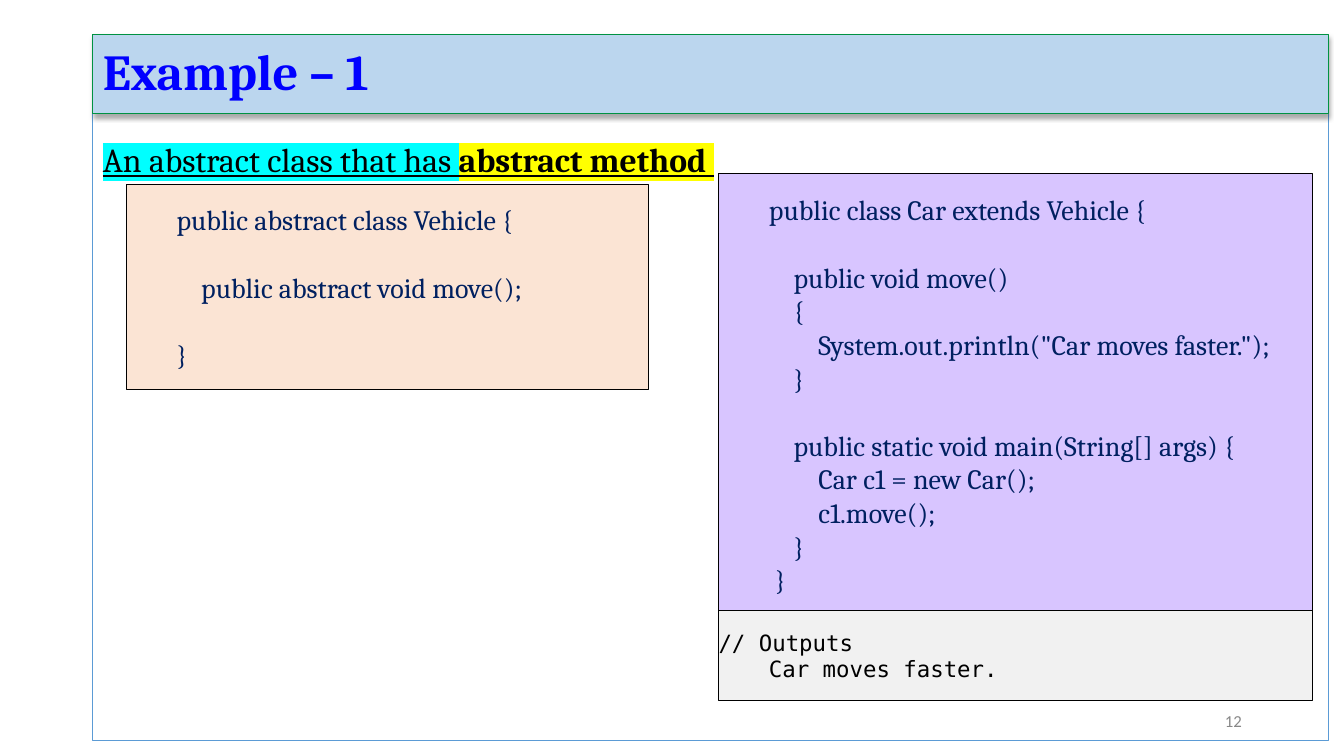
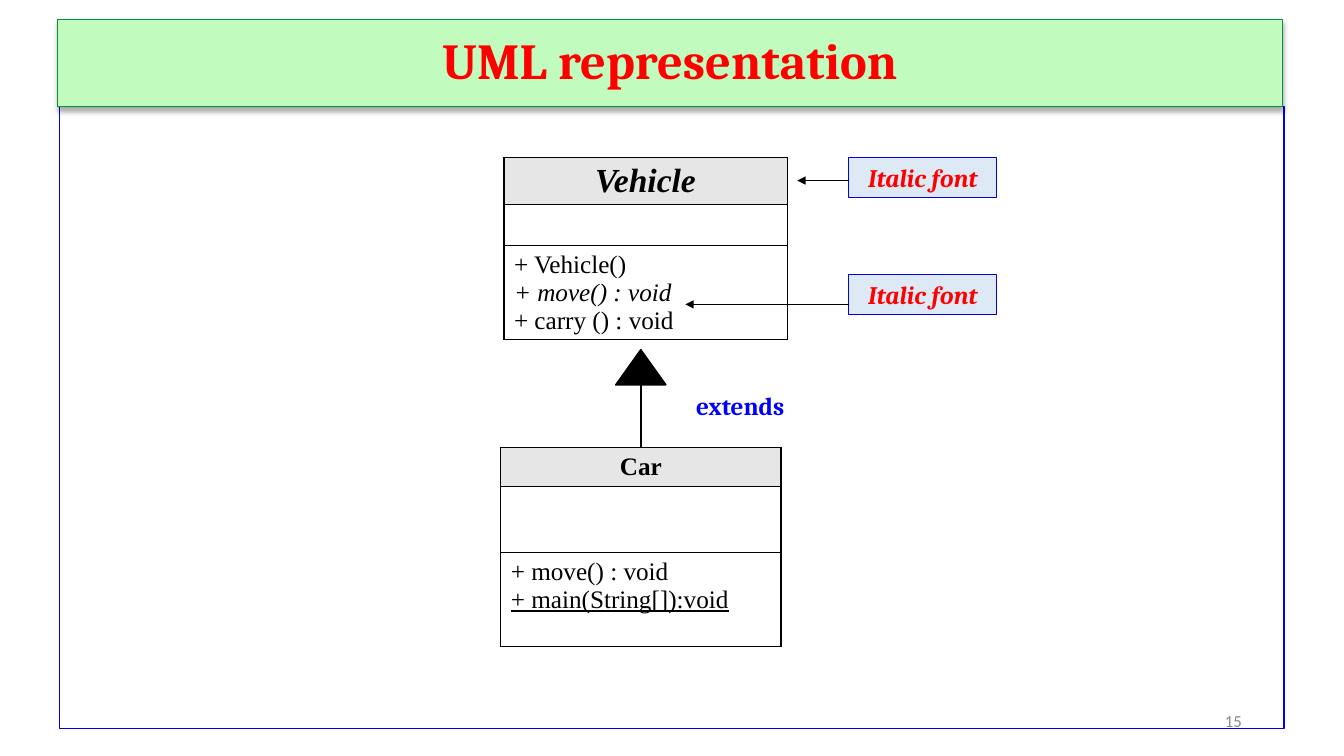
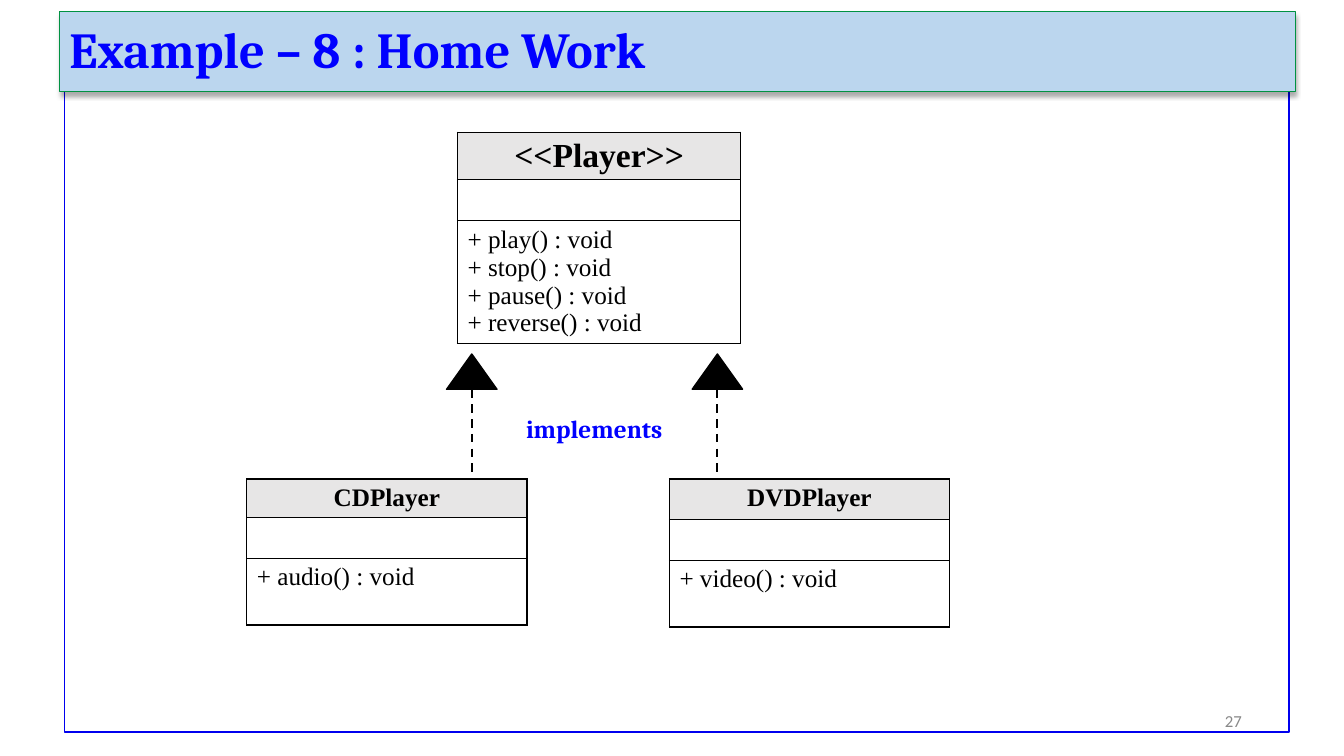
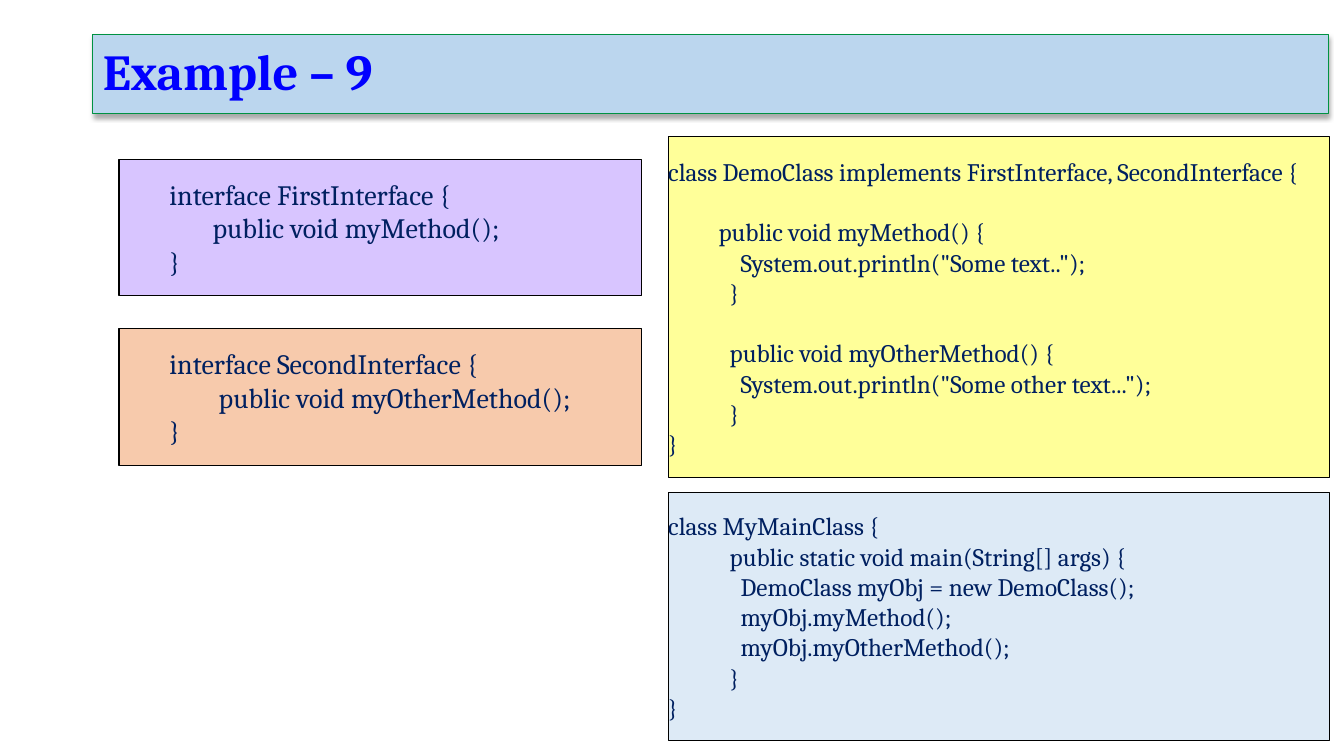
"""Build four slides on abstract classes and interfaces: Java code and UML diagrams."""
from dataclasses import dataclass

from lxml import etree
from pptx import Presentation
from pptx.dml.color import RGBColor
from pptx.enum.dml import MSO_LINE
from pptx.enum.shapes import MSO_CONNECTOR, MSO_SHAPE
from pptx.enum.text import MSO_ANCHOR, MSO_AUTO_SIZE, PP_ALIGN
from pptx.oxml.ns import qn
from pptx.util import Cm, Pt

LEFT, CENTER, RIGHT = PP_ALIGN.LEFT, PP_ALIGN.CENTER, PP_ALIGN.RIGHT
TOP, MIDDLE = MSO_ANCHOR.TOP, MSO_ANCHOR.MIDDLE
RECTANGLE, TRIANGLE = MSO_SHAPE.RECTANGLE, MSO_SHAPE.ISOSCELES_TRIANGLE
STRAIGHT, DASH = MSO_CONNECTOR.STRAIGHT, MSO_LINE.DASH
NO_AUTOFIT = MSO_AUTO_SIZE.NONE


@dataclass(frozen=True)
class Theme:
    """Colours, fonts and type sizes of the deck."""
    black: str = "000000"
    white: str = "FFFFFF"
    blue: str = "0000FF"
    red: str = "FF0000"
    navy: str = "002060"
    grey: str = "888888"
    frame: str = "0000EE"
    body_line: str = "5B9BD5"
    title_line: str = "009242"
    title_blue: str = "BBD6EE"
    title_green: str = "C1FBBD"
    purple: str = "D8C5FF"
    peach: str = "FBE4D4"
    orange: str = "F7CAAC"
    yellow: str = "FFFF99"
    pale_blue: str = "DDEAF6"
    output: str = "F1F1F1"
    header: str = "E7E6E6"
    mark_cyan: str = "00FFFF"
    mark_yellow: str = "FFFF00"
    serif: str = "Cambria"
    sans: str = "Calibri"
    mono: str = "DejaVu Sans Mono"
    uml: str = "Times New Roman"
    title_size: int = 36
    heading_size: int = 24
    code_size: int = 20
    small_size: int = 18
    output_size: int = 16
    number_size: int = 12


T = Theme()
CODE = {"name": T.serif, "size": T.code_size, "color": T.navy}
SMALL_CODE = CODE | {"size": T.small_size}
OUTPUT = {"name": T.mono, "size": T.output_size, "color": T.black}
UML = {"name": T.uml, "size": T.small_size, "color": T.black}
LABEL = {"name": T.serif, "size": T.small_size, "bold": True}
ITALIC, UNDERLINE, PLAIN = {"italic": True}, {"underline": True}, {}
TITLE_BAND = (2.34, 0.86, 31.14, 2.01)
NUMBER_BOX = (23.93, 17.65, 7.62, 1.02)
LABEL_SIZE = (3.73, 1.02)
TRIANGLE_SIZE = (1.27, 0.89)
PARENT_WIDTH, CHILD_WIDTH = 7.14, 7.06
CODE_INSET, CODE_INDENT, LINE_PITCH = 0.43, 1.27, 1.2

VEHICLE_CODE = """\
\tpublic abstract class Vehicle {

\t    public abstract void move();

\t}"""
CAR_CODE = """\
\tpublic class Car extends Vehicle {

\t    public void move()
\t    {
\t        System.out.println("Car moves faster.");
\t    }

\t    public static void main(String[] args) {
\t        Car c1 = new Car();
\t        c1.move();
\t    }
\t }"""
CAR_OUTPUT = """\
// Outputs
\tCar moves faster."""
FIRST_CODE = """\
\tinterface FirstInterface {
\t       public void myMethod();
\t}"""
SECOND_CODE = """\
\tinterface SecondInterface {
\t        public void myOtherMethod();
\t}"""
DEMO_CODE = """\
class DemoClass implements FirstInterface, SecondInterface {

\tpublic void myMethod() {
\t    System.out.println("Some text..");
\t  }

\t  public void myOtherMethod() {
\t    System.out.println("Some other text...");
\t  }
}"""
MAIN_CODE = """\
class MyMainClass {
\t  public static void main(String[] args) {
\t    DemoClass myObj = new DemoClass();
\t    myObj.myMethod();
\t    myObj.myOtherMethod();
\t  }
}"""

SLIDES = [
    {"title": "Example – 1", "number": "12",
     "body": {"box": (2.34, 2.87, 31.14, 15.8),
              "runs": [("An abstract class that has ", {"highlight": T.mark_cyan}),
                       ("abstract method ", {"highlight": T.mark_yellow, "bold": True})]},
     "code": [((18.11, 4.37, 14.96, 11.15), T.purple, CODE, CAR_CODE),
              ((18.11, 15.39, 14.96, 2.26), T.output, OUTPUT, CAR_OUTPUT),
              ((3.18, 4.65, 13.16, 5.16), T.peach, CODE, VEHICLE_CODE)]},
    {"title": "UML representation", "number": "15", "band": (1.45, 0.48, 30.86, 2.21),
     "title_look": (T.title_green, T.red, CENTER), "frame": (1.5, 2.69, 30.86, 15.67),
     "classes": [
         {"at": (12.7, 3.96), "width": PARENT_WIDTH, "rows": (1.19, 1.04, 2.36),
          "name": ("Vehicle", {"size": T.heading_size, "italic": True}),
          "methods": [("+ Vehicle()", PLAIN), ("+ move() : void", ITALIC),
                      ("+ carry () : void", PLAIN)]},
         {"at": (12.62, 11.28), "width": CHILD_WIDTH, "rows": (0.97, 1.68, 2.36),
          "name": ("Car", PLAIN),
          "methods": [("+ move() : void", PLAIN), ("+ main(String[]):void", UNDERLINE)]}],
     "inherits": [(16.15, 8.81, 8.86, 11.28, None)],
     "labels": [("Italic font", (21.39, 3.96, *LABEL_SIZE), T.red, True),
                ("Italic font", (21.39, 6.91, *LABEL_SIZE), T.red, True),
                ("extends", (16.79, 9.7, *LABEL_SIZE), T.blue, False)],
     "arrows": [(21.39, 4.55, 20.09, 4.55), (21.39, 7.67, 17.27, 7.67)]},
    {"title": "Example – 8 : Home Work", "number": "27", "band": (1.5, 0.3, 31.14, 2.01),
     "frame": (1.63, 1.91, 30.86, 16.54),
     "classes": [
         {"at": (11.53, 3.33), "width": PARENT_WIDTH, "rows": (1.19, 1.04, 3.1),
          "name": ("<<Player>>", {"size": T.heading_size}),
          "methods": [(f"+ {action}() : void", PLAIN)
                      for action in ("play", "stop", "pause", "reverse")]},
         {"at": (6.22, 12.07), "width": CHILD_WIDTH, "rows": (0.97, 0.97, 1.68),
          "name": ("CDPlayer", PLAIN), "methods": [("+ audio() : void", PLAIN)]},
         {"at": (16.87, 12.07), "width": CHILD_WIDTH, "rows": (1.02, 1.02, 1.68),
          "name": ("DVDPlayer", PLAIN), "methods": [("+ video() : void", PLAIN)]}],
     "inherits": [(x, 8.92, 9.45, 12.07, DASH) for x in (11.89, 18.08)],
     "labels": [("implements", (12.75, 10.29, 4.45, 1.02), T.blue, False)]},
    {"title": "Example – 9",
     "code": [((16.84, 3.45, 16.66, 8.59), T.yellow, SMALL_CODE, DEMO_CODE),
              ((3, 4.01, 13.16, 3.45), T.purple, CODE, FIRST_CODE),
              ((3, 8.28, 13.16, 3.45), T.orange, CODE, SECOND_CODE),
              ((16.84, 12.4, 16.66, 6.27), T.pale_blue, SMALL_CODE, MAIN_CODE)]},
]


def add_xml(parent, tag, **attributes):
    return etree.SubElement(parent, qn(tag), attributes)


def place(shape, box):
    for side, length in zip(("left", "top", "width", "height"), box):
        setattr(shape, side, Cm(length))


def paint(shape, fill=None, line=None, weight=0.75):
    if fill:
        shape.fill.solid()
        shape.fill.fore_color.rgb = RGBColor.from_string(fill)
    else:
        shape.fill.background()
    if line:
        shape.line.color.rgb = RGBColor.from_string(line)
        shape.line.width = Pt(weight)
    else:
        shape.line.fill.background()


def add_box(slide, box, fill, line=None, weight=0.75, kind=RECTANGLE):
    shape = slide.shapes.add_shape(kind, *map(Cm, box))
    shape.shadow.inherit = False
    paint(shape, fill, line, weight)
    return shape


def set_frame(frame, anchor=TOP):
    settings = {"word_wrap": True, "auto_size": NO_AUTOFIT, "vertical_anchor": anchor,
                "margin_left": Cm(0.25), "margin_right": Cm(0.25),
                "margin_top": Cm(0.13), "margin_bottom": Cm(0.13)}
    for name, value in settings.items():
        setattr(frame, name, value)


def write(paragraph, text, look, align=LEFT):
    paragraph.alignment = align
    run = paragraph.add_run()
    run.text = text
    for name, value in look.items():
        if name == "color":
            run.font.color.rgb = RGBColor.from_string(value)
        elif name == "size":
            run.font.size = Pt(value)
        elif name != "highlight":
            setattr(run.font, name, value)
    if "highlight" in look:
        highlight = etree.Element(qn("a:highlight"))
        add_xml(highlight, "a:srgbClr", val=look["highlight"])
        run.font.color.rgb = RGBColor.from_string(look["color"])
        run._r.get_or_add_rPr().find(qn("a:solidFill")).addnext(highlight)


def next_paragraph(frame, index):
    return frame.paragraphs[0] if index == 0 else frame.add_paragraph()


def add_title(slide, text, band=TITLE_BAND, look=(T.title_blue, T.blue, LEFT)):
    fill, color, align = look
    title = slide.shapes.title
    place(title, band)
    paint(title, fill, T.title_line)
    set_frame(title.text_frame, MIDDLE)
    title.shadow.inherit = False
    effects = title._element.spPr.find(qn("a:effectLst"))
    shadow = add_xml(effects, "a:outerShdw", blurRad="44450", dist="27940",
                     dir="5400000", algn="ctr", rotWithShape="0")
    add_xml(add_xml(shadow, "a:srgbClr", val=T.black), "a:alpha", val="32000")
    heading = title.text_frame.paragraphs[0]
    heading.line_spacing = 0.9
    write(heading, text, {"name": T.serif, "size": T.title_size, "bold": True,
                          "color": color}, align)
    slide.shapes._spTree.append(title._element)


def add_body(slide, box, runs):
    body = slide.placeholders[1]
    place(body, box)
    paint(body, line=T.body_line)
    set_frame(body.text_frame)
    intro = body.text_frame.paragraphs[0]
    properties = intro._p.get_or_add_pPr()
    properties.set("marL", "0")
    properties.set("indent", "0")
    add_xml(properties, "a:buNone")
    intro.line_spacing = 1.5
    intro.space_before = Pt(0)
    for text, look in runs:
        write(intro, text, {"name": T.serif, "size": T.heading_size, "color": T.black,
                            "underline": True} | look)


def add_code(slide, box, fill, look, code):
    listing = add_box(slide, box, fill, T.black).text_frame
    set_frame(listing, MIDDLE)
    listing.margin_left = listing.margin_right = 0
    listing.margin_top = listing.margin_bottom = Cm(CODE_INSET)
    gap, count = 0, 0
    for line in code.split("\n"):
        if not line:
            gap += look["size"] * LINE_PITCH
            continue
        statement = next_paragraph(listing, count)
        if line.startswith("\t"):
            statement._p.get_or_add_pPr().set("marL", str(Cm(CODE_INDENT)))
        if gap:
            statement.space_before = Pt(gap)
        write(statement, line.lstrip("\t"), look)
        gap, count = 0, count + 1


def add_class(slide, at, width, rows, name, methods):
    table = slide.shapes.add_table(3, 1, *map(Cm, (*at, width, sum(rows)))).table
    table.first_row = table.horz_banding = False
    for row, height in zip(table.rows, rows):
        row.height = Cm(height)
        cell = row.cells[0]
        cell.fill.background()
        properties = cell._tc.get_or_add_tcPr()
        for index, side in enumerate(("a:lnL", "a:lnR", "a:lnT", "a:lnB")):
            border = etree.Element(qn(side), {"w": str(Pt(1))})
            add_xml(add_xml(border, "a:solidFill"), "a:srgbClr", val=T.black)
            properties.insert(index, border)
    header, operations = table.cell(0, 0), table.cell(2, 0)
    header.fill.solid()
    header.fill.fore_color.rgb = RGBColor.from_string(T.header)
    text, look = name
    write(header.text_frame.paragraphs[0], text, UML | {"bold": True} | look, CENTER)
    for index, (text, look) in enumerate(methods):
        write(next_paragraph(operations.text_frame, index), text,
              UML | {"bold": False} | look)


def add_line(slide, ends, weight, dash=None, arrow=False):
    connector = slide.shapes.add_connector(STRAIGHT, *map(Cm, ends))
    connector.line.color.rgb = RGBColor.from_string(T.black)
    connector.line.width = Pt(weight)
    if dash:
        connector.line.dash_style = dash
    properties = connector._element.spPr
    if arrow:
        add_xml(properties.find(qn("a:ln")), "a:tailEnd", type="triangle")
    add_xml(properties, "a:effectLst")


def add_inheritance(slide, x, tip, start, end, dash):
    add_line(slide, (x, start, x, end), 1.5, dash)
    width, height = TRIANGLE_SIZE
    add_box(slide, (x - width / 2, tip, width, height), T.black, T.black, 1, TRIANGLE)


def add_label(slide, text, box, color, callout):
    fill, line = (T.pale_blue, T.frame) if callout else (T.white, None)
    label = add_box(slide, box, fill, line)
    set_frame(label.text_frame)
    write(label.text_frame.paragraphs[0], text,
          LABEL | {"color": color, "italic": callout}, CENTER)


def add_number(slide, number):
    frame = slide.shapes.add_textbox(*map(Cm, NUMBER_BOX)).text_frame
    set_frame(frame, MIDDLE)
    write(frame.paragraphs[0], number,
          {"name": T.sans, "size": T.number_size, "color": T.grey}, RIGHT)


def build_slide(deck, content):
    layout = deck.slide_layouts[1 if "body" in content else 5]
    slide = deck.slides.add_slide(layout)
    if "body" in content:
        add_body(slide, **content["body"])
    if "frame" in content:
        add_box(slide, content["frame"], T.white, T.frame, 1)
    for uml_class in content.get("classes", []):
        add_class(slide, **uml_class)
    for key, add in (("inherits", add_inheritance), ("labels", add_label),
                     ("code", add_code)):
        for item in content.get(key, []):
            add(slide, *item)
    for ends in content.get("arrows", []):
        add_line(slide, ends, 0.75, arrow=True)
    if "number" in content:
        add_number(slide, content["number"])
    add_title(slide, content["title"], content.get("band", TITLE_BAND),
              content.get("title_look", (T.title_blue, T.blue, LEFT)))


def main():
    deck = Presentation()
    deck.slide_width, deck.slide_height = Cm(33.87), Cm(19.05)
    for content in SLIDES:
        build_slide(deck, content)
    deck.save("out.pptx")


if __name__ == "__main__":
    main()
